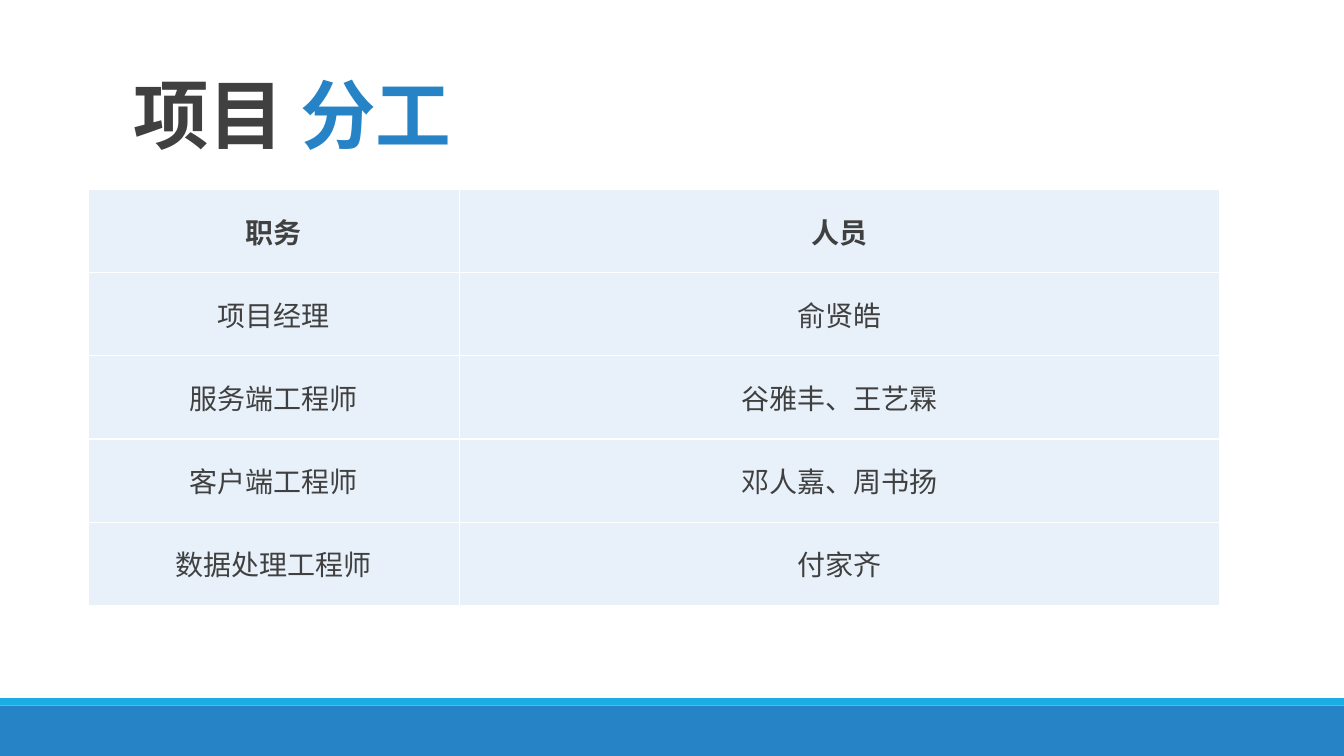
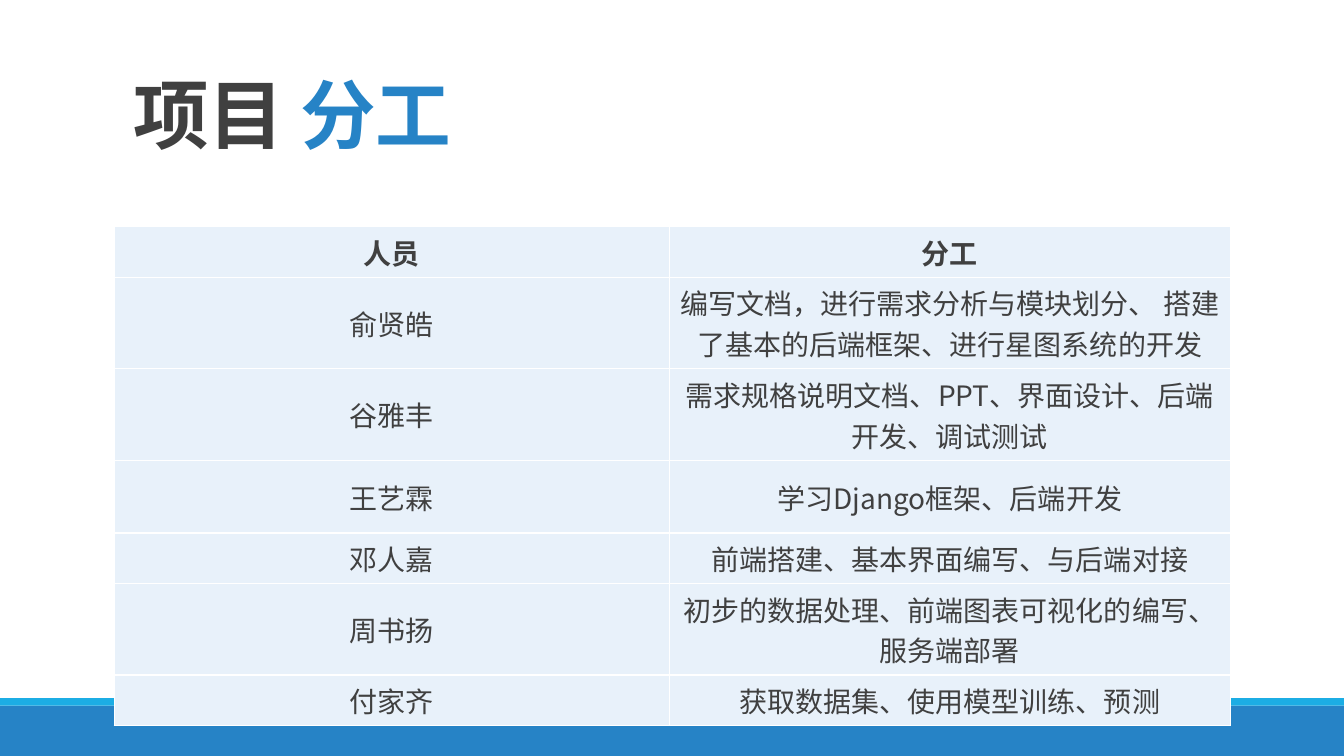
from dataclasses import dataclass

from lxml.etree import SubElement
from pptx import Presentation
from pptx.dml.color import RGBColor
from pptx.enum.shapes import MSO_SHAPE
from pptx.enum.text import MSO_ANCHOR, PP_ALIGN
from pptx.oxml.ns import qn
from pptx.slide import Slide
from pptx.table import _Cell
from pptx.text.text import _Paragraph
from pptx.util import Inches, Length, Pt

SLIDE_WIDTH = Inches(13.33)
SLIDE_HEIGHT = Inches(7.5)
FONT = "Noto Sans CJK SC"
INK = "404040"
BLUE = "2683C6"
SKY = "1CADE4"
PALE = "E8F1FA"
WHITE = "FFFFFF"


@dataclass(frozen=True)
class Band:
    top: float
    height: float
    fill: str


@dataclass(frozen=True)
class Roster:
    left: float
    top: float
    column_widths: tuple[float, ...]
    row_heights: tuple[float, ...]
    rows: tuple[tuple[str, ...], ...]


BANDS = (Band(93.33, 6.67, BLUE), Band(92.35, 0.98, SKY))
ONE_LINE, ROOMY_LINE, TWO_LINES = 6.66, 9.6, 12.13

ROLES = Roster(
    left=6.55,
    top=25.07,
    column_widths=(27.65, 56.55),
    row_heights=(11,) * 5,
    rows=(
        ("职务", "人员"),
        ("项目经理", "俞贤皓"),
        ("服务端工程师", "谷雅丰、王艺霖"),
        ("客户端工程师", "邓人嘉、周书扬"),
        ("数据处理工程师", "付家齐"),
    ),
)

DUTIES = Roster(
    left=8.5,
    top=30,
    column_widths=(41.3, 41.74),
    row_heights=(ONE_LINE, TWO_LINES, TWO_LINES, ROOMY_LINE,
                 ONE_LINE, TWO_LINES, ONE_LINE),
    rows=(
        ("人员", "分工"),
        ("俞贤皓", "编写文档，进行需求分析与模块划分、 搭建了基本的后端框架、进行星图系统的开发"),
        ("谷雅丰", "需求规格说明文档、PPT、界面设计、后端开发、调试测试"),
        ("王艺霖", "学习Django框架、后端开发"),
        ("邓人嘉", "前端搭建、基本界面编写、与后端对接"),
        ("周书扬", "初步的数据处理、前端图表可视化的编写、服务端部署"),
        ("付家齐", "获取数据集、使用模型训练、预测"),
    ),
)


def across(percent: float) -> Length:
    return Length(round(SLIDE_WIDTH * percent / 100))


def down(percent: float) -> Length:
    return Length(round(SLIDE_HEIGHT * percent / 100))


def colour(value: str) -> RGBColor:
    return RGBColor.from_string(value)


def style_paragraph(paragraph: _Paragraph, size: float, bold: bool,
                    spacing: float = 0) -> None:
    font = paragraph.font
    font.size = Pt(size)
    font.bold = bold
    font.color.rgb = colour(INK)
    font.name = FONT
    defaults = paragraph._p.pPr.find(qn("a:defRPr"))
    SubElement(defaults, qn("a:ea"), typeface=FONT)
    if spacing:
        defaults.set("spc", str(round(spacing * 100)))


def draw_band(slide: Slide, band: Band) -> None:
    strip = slide.shapes.add_shape(
        MSO_SHAPE.RECTANGLE, 0, down(band.top), SLIDE_WIDTH, down(band.height))
    strip.shadow.inherit = False
    strip.fill.solid()
    strip.fill.fore_color.rgb = colour(band.fill)
    strip.line.fill.background()


def draw_title(slide: Slide, topic: str, accent: str) -> None:
    frame = slide.shapes.add_textbox(
        across(9.23), down(5.07), across(83), down(16.67)).text_frame
    frame.word_wrap = True
    frame.vertical_anchor = MSO_ANCHOR.BOTTOM
    heading = frame.paragraphs[0]
    heading.line_spacing = 0.85
    style_paragraph(heading, 54, True, spacing=-0.5)
    heading.add_run().text = topic
    highlight = heading.add_run()
    highlight.text = accent
    highlight.font.color.rgb = colour(BLUE)


def border_cell(cell: _Cell) -> None:
    properties = cell._tc.get_or_add_tcPr()
    for index, side in enumerate(("lnL", "lnR", "lnT", "lnB")):
        edge = SubElement(properties, qn(f"a:{side}"), w=str(Pt(1)))
        fill = SubElement(edge, qn("a:solidFill"))
        SubElement(fill, qn("a:srgbClr"), val=WHITE)
        properties.insert(index, edge)


def draw_roster(slide: Slide, roster: Roster) -> None:
    table = slide.shapes.add_table(
        len(roster.rows), len(roster.column_widths),
        across(roster.left), down(roster.top),
        across(sum(roster.column_widths)), down(sum(roster.row_heights))).table
    table.first_row = False
    table.horz_banding = False
    for column, width in zip(table.columns, roster.column_widths):
        column.width = across(width)
    for row, height in zip(table.rows, roster.row_heights):
        row.height = down(height)
    for row_index, entries in enumerate(roster.rows):
        for column_index, entry in enumerate(entries):
            cell = table.cell(row_index, column_index)
            cell.text = entry
            cell.vertical_anchor = MSO_ANCHOR.MIDDLE
            cell.fill.solid()
            cell.fill.fore_color.rgb = colour(PALE)
            border_cell(cell)
            paragraph = cell.text_frame.paragraphs[0]
            paragraph.alignment = PP_ALIGN.CENTER
            style_paragraph(paragraph, 20, bold=row_index == 0)


def main() -> None:
    deck = Presentation()
    deck.slide_width = SLIDE_WIDTH
    deck.slide_height = SLIDE_HEIGHT
    for roster in (ROLES, DUTIES):
        slide = deck.slides.add_slide(deck.slide_layouts[6])
        for band in BANDS:
            draw_band(slide, band)
        draw_roster(slide, roster)
        draw_title(slide, "项目 ", "分工")
    deck.save("out.pptx")


if __name__ == "__main__":
    main()
